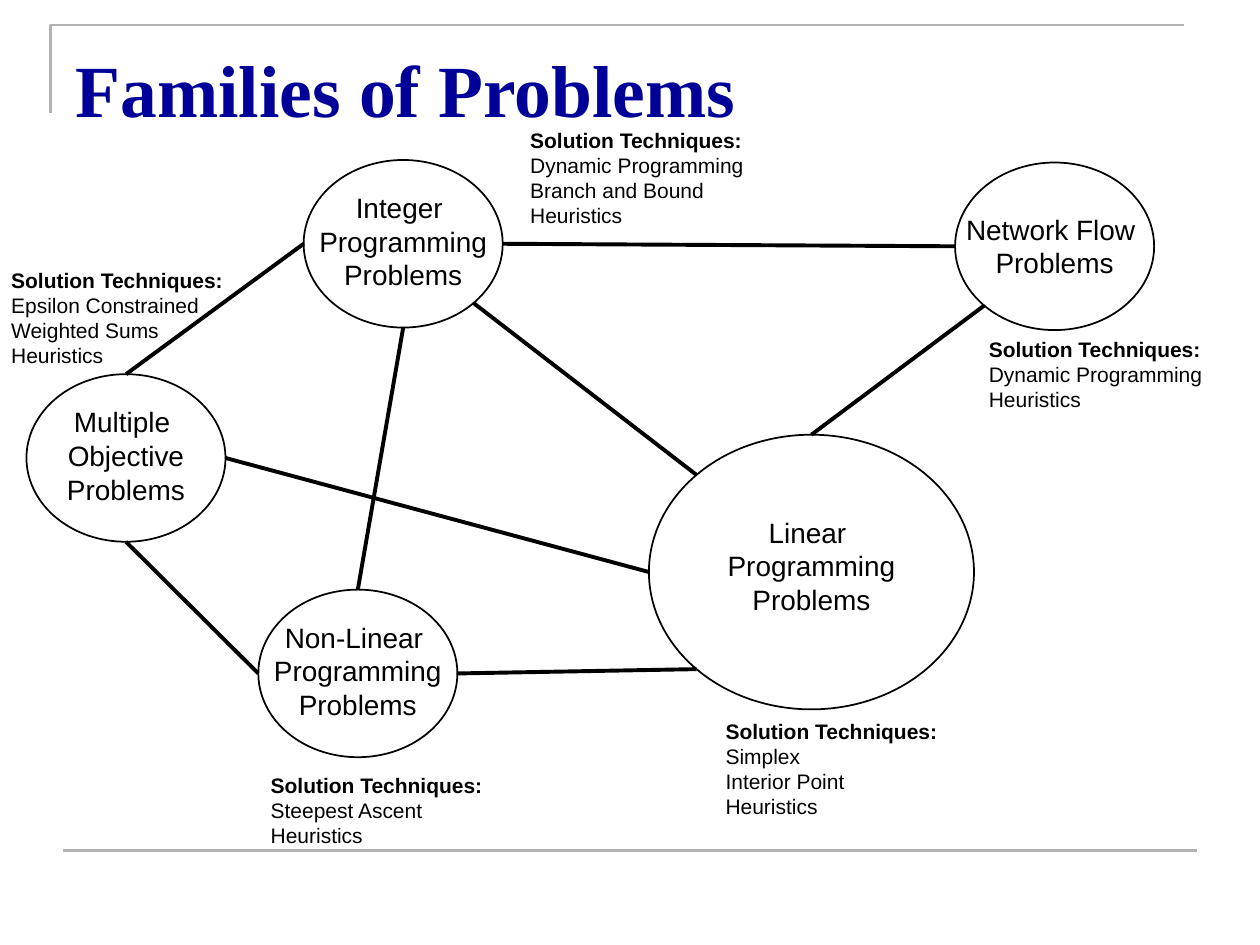
from math import cos, radians, sin

from lxml.etree import SubElement
from pptx import Presentation
from pptx.dml.color import RGBColor
from pptx.enum.shapes import MSO_CONNECTOR, MSO_SHAPE
from pptx.enum.text import MSO_ANCHOR, PP_ALIGN
from pptx.oxml.ns import qn
from pptx.util import Inches, Pt

NAVY = RGBColor(0x00, 0x00, 0x99)
BLACK = RGBColor(0x00, 0x00, 0x00)
GREY = RGBColor(0xB2, 0xB2, 0xB2)
COLUMNS, ROWS = 100, 75
TITLE_FONT = {"name": "Times New Roman", "size": Pt(42), "bold": True}
FAMILY_FONT = {"name": "Arial", "size": Pt(16)}
TECHNIQUE_FONT = {"name": "Arial", "size": Pt(12)}

presentation = Presentation()
presentation.slide_width, presentation.slide_height = Inches(10), Inches(7.5)
slide = presentation.slides.add_slide(presentation.slide_layouts[5])
column = presentation.slide_width / COLUMNS
row = presentation.slide_height / ROWS


def format_font(font, values, color):
    for name, value in values.items():
        setattr(font, name, value)
    font.color.rgb = color


def add_line(start, end, color, width):
    points = [round(length * unit) for point in (start, end)
              for length, unit in zip(point, (column, row))]
    line = slide.shapes.add_connector(MSO_CONNECTOR.STRAIGHT, *points)
    line.line.color.rgb = color
    line.line.width = Pt(width)
    SubElement(line._element.spPr, qn("a:effectLst"))


builder = slide.shapes.build_freeform(4.2, 9.2, scale=column)
builder.add_line_segments([(4.2, 2.5), (94.2, 2.5)], close=False)
corner = builder.convert_to_shape()
corner.shadow.inherit = False
corner.fill.background()
corner.line.color.rgb = GREY
corner.line.width = Pt(1.5)
add_line((5, 67.5), (95, 67.5), GREY, 1.5)

title = slide.shapes.title
title.left, title.top = round(5 * column), round(3 * row)
title.width, title.height = round(90 * column), round(12.5 * row)
title.text_frame.text = "Families of Problems"
title.text_frame.vertical_anchor = MSO_ANCHOR.TOP
title.text_frame.paragraphs[0].alignment = PP_ALIGN.LEFT
format_font(title.text_frame.paragraphs[0].font, TITLE_FONT, NAVY)

SMALL, LARGE = (15.8, 13.3), (25.8, 21.8)
families = {
    "integer": (24.1, 12.7, SMALL, 0.05, "Integer \vProgramming\vProblems"),
    "multiple": (2.1, 29.7, SMALL, 0.05, "Multiple \vObjective\nProblems"),
    "linear": (51.5, 34.5, LARGE, 0.32, "Linear \vProgramming\nProblems"),
    "network": (75.8, 12.9, SMALL, 0.2, "Network Flow \vProblems"),
    "nonlinear": (20.5, 46.8, SMALL, 0.05, "Non-Linear \vProgramming\nProblems"),
}
for left, top, (width, height), margin, text in families.values():
    oval = slide.shapes.add_shape(
        MSO_SHAPE.OVAL, round(left * column), round(top * row),
        round(width * column), round(height * row))
    oval.shadow.inherit = False
    oval.fill.background()
    oval.line.color.rgb = BLACK
    oval.line.width = Pt(1)
    frame = oval.text_frame
    frame.word_wrap = False
    frame.vertical_anchor = MSO_ANCHOR.TOP
    frame.margin_top = Inches(margin)
    frame.text = text
    for paragraph in frame.paragraphs:
        paragraph.alignment = PP_ALIGN.CENTER
        format_font(paragraph.font, FAMILY_FONT, BLACK)

RIGHT, LOWER_RIGHT, BOTTOM, LOWER_LEFT = 0, 45, 90, 135
LEFT, UPPER_LEFT, TOP = 180, 225, 270
links = [
    ("integer", LOWER_RIGHT, "linear", UPPER_LEFT),
    ("integer", RIGHT, "network", LEFT),
    ("linear", TOP, "network", LOWER_LEFT),
    ("integer", BOTTOM, "nonlinear", TOP),
    ("integer", LEFT, "multiple", TOP),
    ("multiple", BOTTOM, "nonlinear", LEFT),
    ("multiple", RIGHT, "linear", LEFT),
    ("nonlinear", RIGHT, "linear", LOWER_LEFT),
]
for first, first_angle, second, second_angle in links:
    ends = []
    for family, angle in ((first, first_angle), (second, second_angle)):
        left, top, (width, height) = families[family][:3]
        ends.append((left + width / 2 * (1 + cos(radians(angle))),
                     top + height / 2 * (1 + sin(radians(angle)))))
    add_line(*ends, BLACK, 2.25)

techniques = [
    (20.5, 60.8, 23.8, 9.1, "Steepest Ascent\nHeuristics"),
    (56.6, 56.5, 21.5, 11.1, "Simplex\vInterior Point\nHeuristics"),
    (77.5, 26.2, 23.3, 9.1, "Dynamic Programming\nHeuristics"),
    (41.1, 9.6, 23.3, 9.1, "Dynamic Programming\nBranch and Bound\nHeuristics"),
    (-0.1, 20.7, 20.2, 9.1, "Epsilon Constrained\nWeighted Sums\nHeuristics"),
]
for left, top, width, height, text in techniques:
    box = slide.shapes.add_textbox(
        round(left * column), round(top * row),
        round(width * column), round(height * row))
    frame = box.text_frame
    frame.word_wrap = True
    frame.text = "Solution Techniques:\v" + text
    for paragraph in frame.paragraphs:
        format_font(paragraph.font, TECHNIQUE_FONT, BLACK)
    frame.paragraphs[0].runs[0].font.bold = True

presentation.save("out.pptx")
